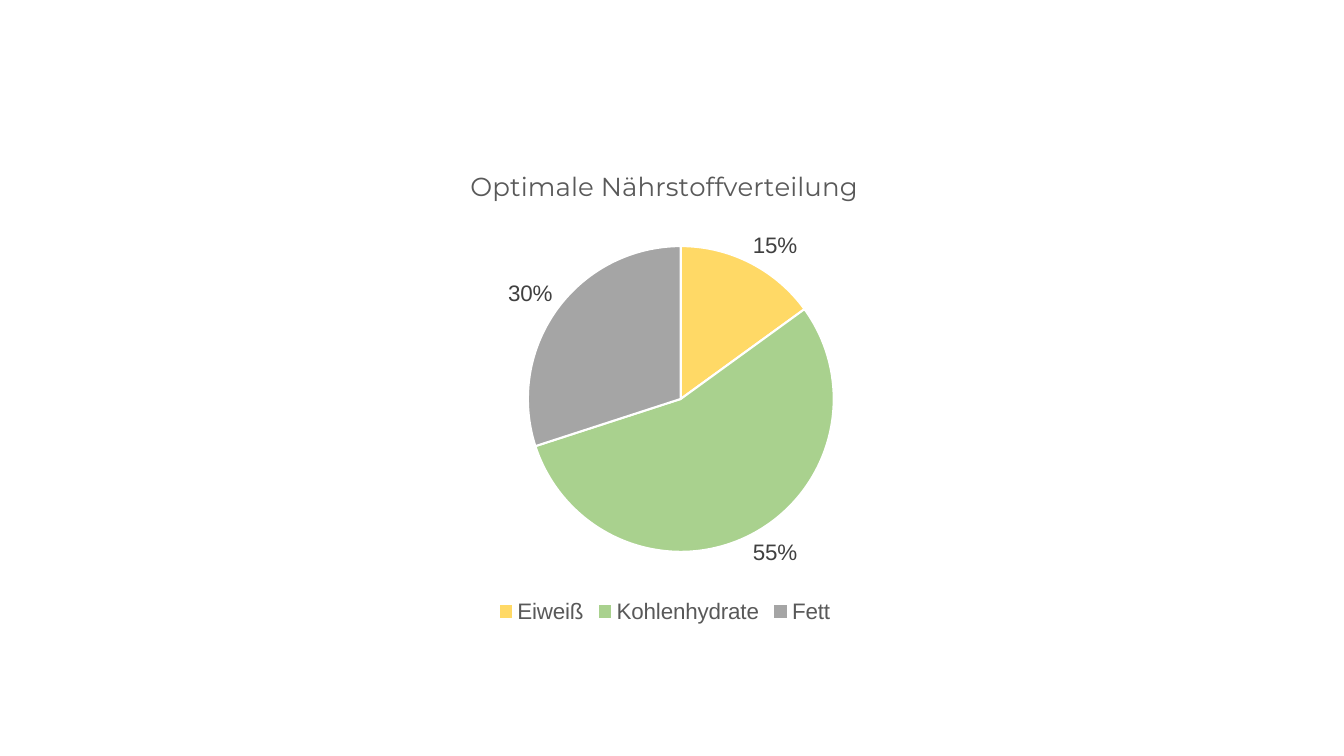
from dataclasses import dataclass

from lxml.etree import SubElement
from pptx import Presentation
from pptx.chart.chart import Chart
from pptx.chart.data import CategoryChartData
from pptx.dml.color import RGBColor
from pptx.enum.chart import XL_CHART_TYPE, XL_LABEL_POSITION, XL_LEGEND_POSITION
from pptx.oxml.ns import qn
from pptx.slide import Slide
from pptx.text.text import Font
from pptx.util import Inches, Pt

WIDTH, HEIGHT = Inches(13.33), Inches(7.5)


@dataclass
class Part:
    name: str
    share: int
    color: str


@dataclass
class Box:
    x: float
    y: float
    w: float
    h: float


PARTS = [
    Part("Eiweiß", 15, "FFD966"),
    Part("Kohlenhydrate", 55, "A9D18E"),
    Part("Fett", 30, "A5A5A5"),
]
FRAME = Box(0.063, 0.196, 0.863, 0.635)
PIE = Box(0.38, 0.204, 0.268, 0.637)


def tint(code: str) -> RGBColor:
    return RGBColor.from_string(code)


def style(font: Font, face: str, size: float, color: str) -> None:
    font.name = face
    font.size = Pt(size)
    font.bold = False
    font.color.rgb = tint(color)


def place(chart: Chart, box: Box) -> None:
    plot = chart.element.find(f"{qn('c:chart')}/{qn('c:plotArea')}")
    layout = plot.find(qn("c:layout"))
    if layout is None:
        layout = SubElement(plot, qn("c:layout"))
        plot.insert(0, layout)
    manual = SubElement(layout, qn("c:manualLayout"))
    values = {
        "layoutTarget": "inner", "xMode": "edge", "yMode": "edge",
        "x": box.x, "y": box.y, "w": box.w, "h": box.h,
    }
    for tag, value in values.items():
        SubElement(manual, qn(f"c:{tag}")).set("val", str(value))


def draw(slide: Slide) -> None:
    data = CategoryChartData()
    data.categories = [part.name for part in PARTS]
    data.add_series("Series 1", [part.share for part in PARTS])
    chart = slide.shapes.add_chart(
        XL_CHART_TYPE.PIE,
        int(WIDTH * FRAME.x), int(HEIGHT * FRAME.y),
        int(WIDTH * FRAME.w), int(HEIGHT * FRAME.h), data,
    ).chart
    style(chart.font, "Calibri", 10, "000000")
    place(chart, PIE)

    chart.has_title = True
    run = chart.chart_title.text_frame.paragraphs[0].add_run()
    run.text = "Optimale Nährstoffverteilung"
    style(run.font, "Montserrat", 18.6, "595959")
    chart.chart_title.include_in_layout = False

    chart.has_legend = True
    chart.legend.position = XL_LEGEND_POSITION.BOTTOM
    chart.legend.include_in_layout = False
    style(chart.legend.font, "Arial", 16, "595959")

    plot = chart.plots[0]
    plot.vary_by_categories = True
    series = plot.series[0]
    for index, part in enumerate(PARTS):
        form = series.points[index].format
        form.fill.solid()
        form.fill.fore_color.rgb = tint(part.color)
        form.line.color.rgb = tint("FFFFFF")
        form.line.width = Pt(1.5)

    labels = series.data_labels
    labels.show_value = False
    labels.show_percentage = True
    labels.number_format = "0%"
    labels.number_format_is_linked = False
    labels.position = XL_LABEL_POSITION.OUTSIDE_END
    style(labels.font, "Arial", 16, "404040")


def main() -> None:
    deck = Presentation()
    deck.slide_width, deck.slide_height = WIDTH, HEIGHT
    draw(deck.slides.add_slide(deck.slide_layouts[6]))
    deck.save("out.pptx")


if __name__ == "__main__":
    main()
